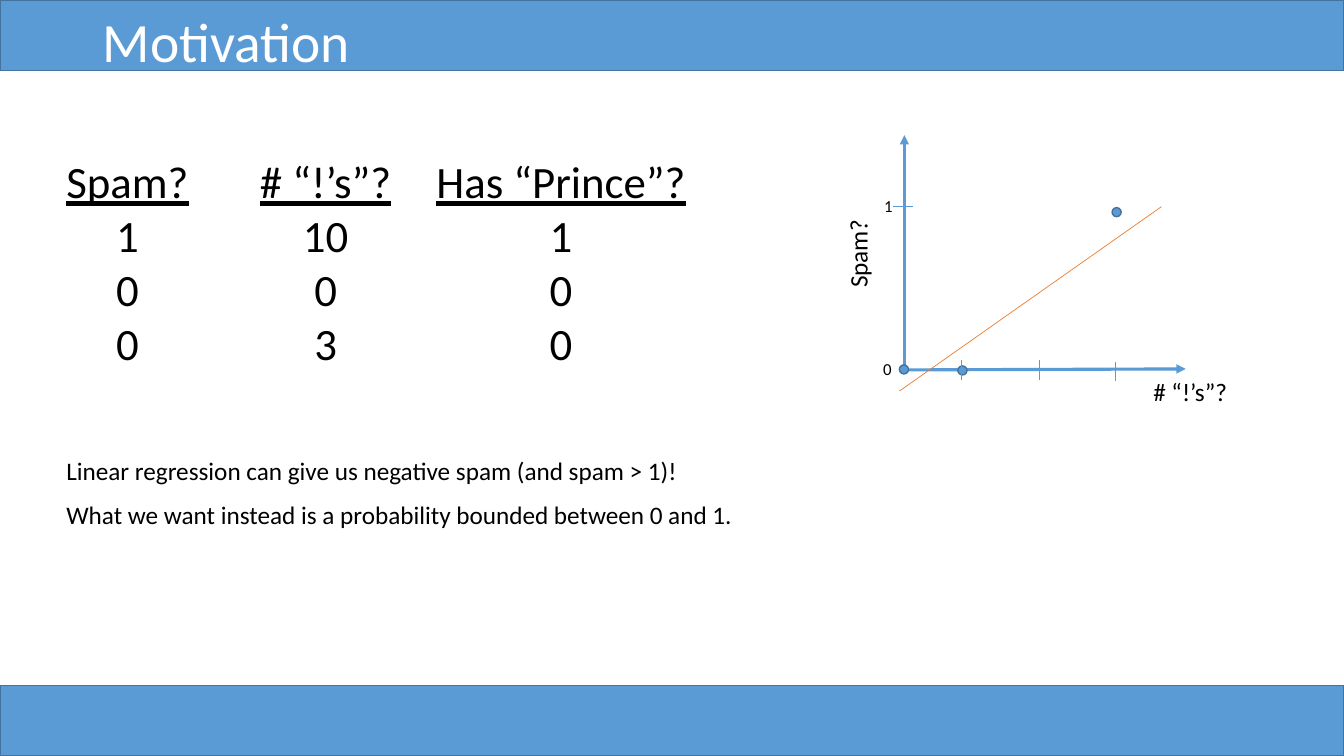
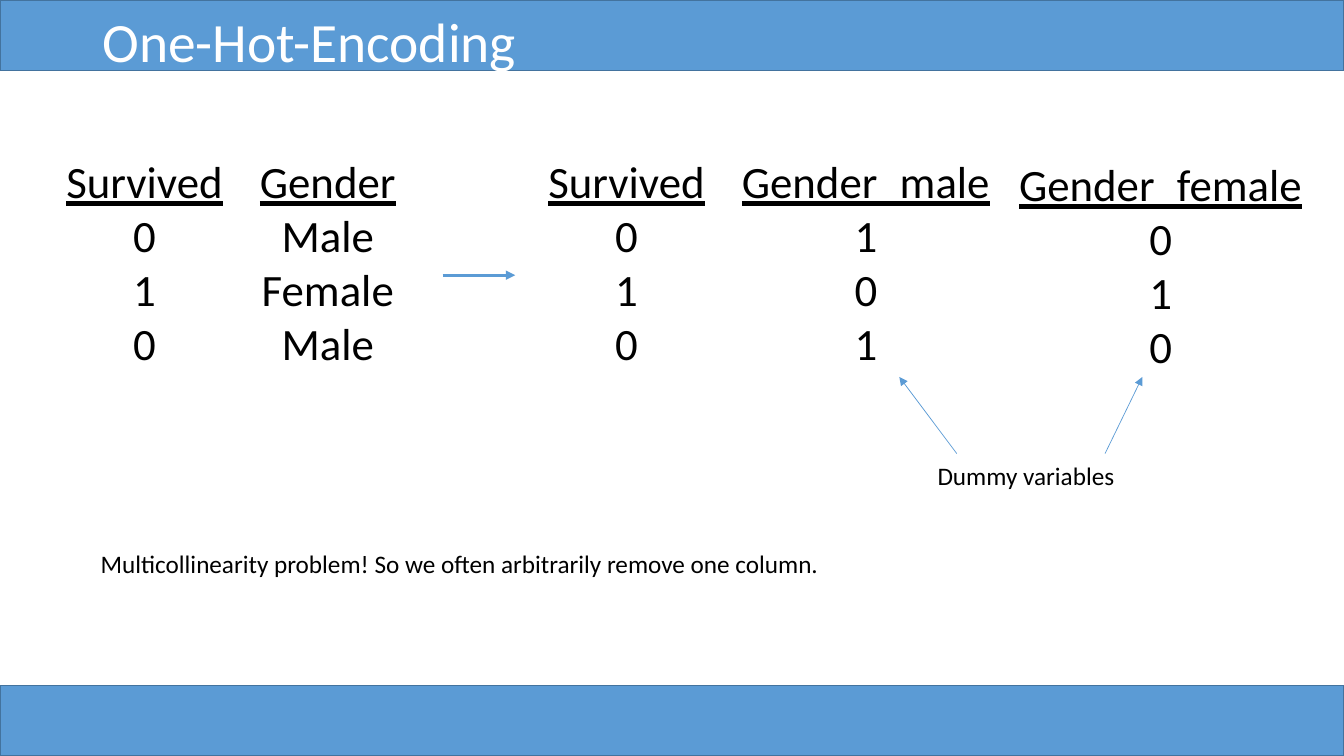
"""Builds two slides on motivating logistic regression and one-hot encoding."""
from lxml import etree
from pptx import Presentation
from pptx import util as u
from pptx.dml.color import RGBColor
from pptx.enum import shapes, text
from pptx.oxml import ns

PX = 9144
WIDTH, HEIGHT, BAND = 1333, 750, 70
FONT = "Calibri"
BLUE, EDGE, ORANGE, BLACK, WHITE = "5B9BD5", "43739E", "ED7D31", "000000", "FFFFFF"
THICK, THIN = 2.25, 0.5
COLUMN_TOP, COLUMN_HEIGHT = 148, 226
DOT = 9

SLIDES = [
    {
        "title": "Motivation",
        "columns": [
            (56, 0, 143, ["Spam?", "1", "0", "0"]),
            (248, 0, 152, ["# “!’s”?", "10", "0", "3"]),
            (423, 0, 270, ["Has “Prince”?", "1", "0", "0"]),
        ],
        "arrows": [
            ((897, 368), (897, 134), THICK),
            ((898, 367), (1176, 366), THICK),
        ],
        "dots": [(892, 362), (950, 363), (1103, 206)],
        "lines": [
            ((954, 357), (954, 377), BLUE),
            ((1031, 357), (1031, 377), BLUE),
            ((1106, 359), (1106, 378), BLUE),
            ((906, 205), (886, 205), BLUE),
            ((892, 388), (1152, 205), ORANGE),
        ],
        "labels": [
            ("# “!’s”?", (1134, 368, 94, 40), 18, 0),
            ("Spam?", (806, 231, 89, 40), 18, 270),
            ("1", (867, 189, 29, 30), 12, 0),
            ("0", (866, 351, 29, 30), 12, 0),
            ("Linear regression can give us negative spam (and spam > 1)!",
             (56, 447, 640, 40), 18, 0),
            ("What we want instead is a probability bounded between 0 and 1.",
             (56, 490, 683, 40), 18, 0),
        ],
    },
    {
        "title": "One-Hot-Encoding",
        "columns": [
            (56, 0, 177, ["Survived", "0", "1", "0"]),
            (248, 0, 156, ["Gender", "Male", "Female", "Male"]),
            (534, 0, 177, ["Survived", "0", "1", "0"]),
            (726, 0, 269, ["Gender_male", "1", "0", "1"]),
            (1001, 3, 303, ["Gender_female", "0", "1", "0"]),
        ],
        "arrows": [
            ((439, 273), (511, 273), THICK),
            ((949, 450), (892, 374), THIN),
            ((1096, 450), (1133, 374), THIN),
        ],
        "dots": [],
        "lines": [],
        "labels": [
            ("Multicollinearity problem! So we often arbitrarily remove one column.",
             (90, 539, 735, 40), 18, 0),
            ("Dummy variables", (920, 452, 198, 40), 18, 0),
        ],
    },
]


def emu(*lengths):
    return [u.Emu(length * PX) for length in lengths]


def color(value):
    return RGBColor.from_string(value)


def add_span(para, words, size, ink=BLACK, underline=None):
    span = para.add_run()
    span.text = words
    span.font.name = FONT
    span.font.size = u.Pt(size)
    span.font.color.rgb = color(ink)
    span.font.underline = underline


def add_box(page, place):
    box = page.shapes.add_textbox(*emu(*place))
    box.text_frame.word_wrap = False
    box.text_frame.auto_size = text.MSO_AUTO_SIZE.SHAPE_TO_FIT_TEXT
    return box


def add_filled(page, kind, place):
    shape = page.shapes.add_shape(kind, *emu(*place))
    shape.shadow.inherit = False
    shape.fill.solid()
    shape.fill.fore_color.rgb = color(BLUE)
    shape.line.color.rgb = color(EDGE)
    shape.line.width = u.Pt(1)


def add_line(page, start, end, ink, weight, arrow=False):
    line = page.shapes.add_connector(
        shapes.MSO_CONNECTOR.STRAIGHT, *emu(*start, *end))
    line.line.color.rgb = color(ink)
    line.line.width = u.Pt(weight)
    if arrow:
        head = etree.SubElement(line.line._get_or_add_ln(), ns.qn("a:tailEnd"))
        head.set("type", "triangle")
    etree.SubElement(line._element.spPr, ns.qn("a:effectLst"))


def add_frame(page, title):
    for top in (HEIGHT - BAND, 0):
        add_filled(page, shapes.MSO_SHAPE.RECTANGLE, (0, top, WIDTH, BAND))
    box = page.shapes.add_textbox(*emu(92, 17, 1150, 54))
    box.text_frame.word_wrap = True
    box.text_frame.vertical_anchor = text.MSO_ANCHOR.MIDDLE
    para = box.text_frame.paragraphs[0]
    para.line_spacing = 0.9
    add_span(para, title, 39.6, WHITE)


def add_column(page, left, drop, width, rows):
    frame = add_box(page, (left, COLUMN_TOP + drop, width, COLUMN_HEIGHT)).text_frame
    for index, words in enumerate(rows):
        para = frame.add_paragraph() if index else frame.paragraphs[0]
        para.alignment = text.PP_ALIGN.CENTER if index else text.PP_ALIGN.LEFT
        add_span(para, words, 32, underline=index == 0)


def add_label(page, words, place, size, rotation):
    box = add_box(page, place)
    box.rotation = rotation
    add_span(box.text_frame.paragraphs[0], words, size)


def build_page(deck, content):
    page = deck.slides.add_slide(deck.slide_layouts[6])
    add_frame(page, content["title"])
    for column in content["columns"]:
        add_column(page, *column)
    for start, end, weight in content["arrows"]:
        add_line(page, start, end, BLUE, weight, arrow=True)
    for left, top in content["dots"]:
        add_filled(page, shapes.MSO_SHAPE.OVAL, (left, top, DOT, DOT))
    for start, end, ink in content["lines"]:
        add_line(page, start, end, ink, THIN)
    for label in content["labels"]:
        add_label(page, *label)


def main():
    deck = Presentation()
    deck.slide_width, deck.slide_height = emu(WIDTH, HEIGHT)
    for content in SLIDES:
        build_page(deck, content)
    deck.save("out.pptx")


if __name__ == "__main__":
    main()
